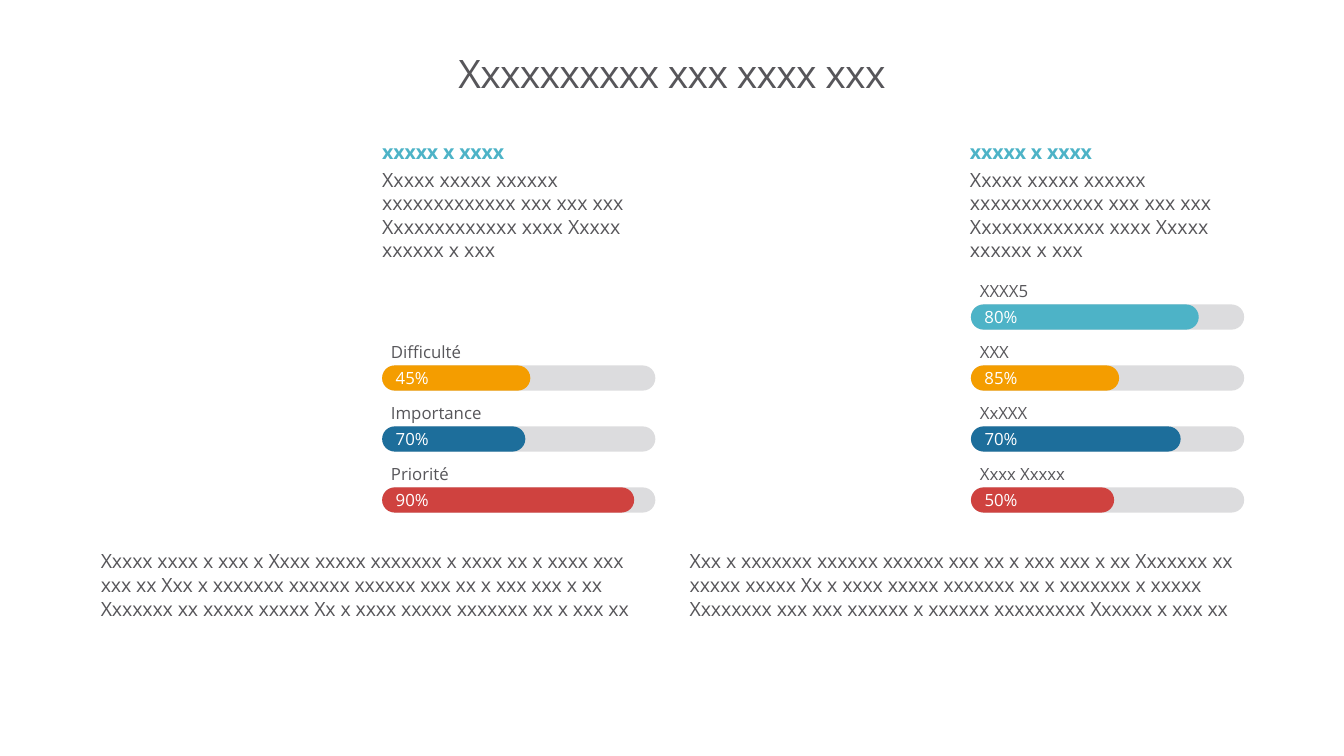
import pptx
import pptx.dml.color
import pptx.enum.shapes
import pptx.enum.text
import pptx.oxml.ns
import pptx.util
from lxml import etree

Inches = pptx.util.Inches
Pt = pptx.util.Pt
RGBColor = pptx.dml.color.RGBColor
MSO_ANCHOR = pptx.enum.text.MSO_ANCHOR
PP_ALIGN = pptx.enum.text.PP_ALIGN
qn = pptx.oxml.ns.qn

GREY = RGBColor(0x57, 0x56, 0x5A)
TRACK = RGBColor(0xBB, 0xBB, 0xBE)
TEAL = RGBColor(0x4D, 0xB3, 0xC7)
ORANGE = RGBColor(0xF4, 0x9D, 0x00)
BLUE = RGBColor(0x1D, 0x6E, 0x9B)
RED = RGBColor(0xCF, 0x42, 0x3F)
WHITE = RGBColor(0xFF, 0xFF, 0xFF)

FONT = "Open Sans"
BAR_WIDTH, BAR_HEIGHT = 2.71, 0.25
FIRST_BAR_TOP, BAR_PITCH = 3.02, 0.605


def fill_placeholder(holder, box, anchor, paragraphs):
    """Place a placeholder and write (text, size, colour, bold, tracking) paragraphs."""
    holder.left, holder.top, holder.width, holder.height = map(Inches, box)
    frame = holder.text_frame
    frame.margin_left = frame.margin_right = frame.margin_top = frame.margin_bottom = 0
    frame.vertical_anchor = anchor
    frame.auto_size = pptx.enum.text.MSO_AUTO_SIZE.NONE
    frame.word_wrap = True
    for level, (text, size, color, bold, tracking) in enumerate(paragraphs):
        paragraph = frame.paragraphs[0] if level == 0 else frame.add_paragraph()
        paragraph.text = text
        paragraph.level = level
        properties = paragraph._p.get_or_add_pPr()
        properties.set("marL", "0")
        properties.set("indent", "0")
        etree.SubElement(properties, qn("a:buNone"))
        paragraph.alignment = PP_ALIGN.LEFT
        paragraph.line_spacing = 1.0
        paragraph.space_before = Pt(2.8 * level)
        style_font(paragraph, size, color, bold)
        paragraph.font._element.set("spc", str(tracking))


def style_font(paragraph, size, color, bold=False):
    paragraph.font.name = FONT
    paragraph.font.size = Pt(size)
    paragraph.font.bold = bold
    paragraph.font.color.rgb = color


presentation = pptx.Presentation()
presentation.slide_width = Inches(13.33)
presentation.slide_height = Inches(7.5)
# The comparison layout holds a title and four body placeholders
slide = presentation.slides.add_slide(presentation.slide_layouts[4])
title, *bodies = slide.placeholders

# Title
fill_placeholder(title, (1, 0.31, 11.33, 0.89), MSO_ANCHOR.MIDDLE,
                 [("Xxxxxxxxxx xxx xxxx xxx", 28, GREY, False, -50)])
title.text_frame.paragraphs[0].alignment = PP_ALIGN.CENTER
title.text_frame.paragraphs[0].line_spacing = 0.86

# Introductions above the bars, then the descriptions below
introduction = [
    ("xxxxx x xxxx", 14, TEAL, True, -10),
    ("Xxxxx xxxxx xxxxxx xxxxxxxxxxxxx xxx xxx xxx Xxxxxxxxxxxxx xxxx Xxxxx xxxxxx x xxx",
     14, GREY, False, 0),
]
left_description = (
    "Xxxxx xxxx x xxx x Xxxx xxxxx xxxxxxx x xxxx xx x xxxx xxx xxx xx Xxx x xxxxxxx "
    "xxxxxx xxxxxx xxx xx x xxx xxx x xx Xxxxxxx xx xxxxx xxxxx Xx x xxxx xxxxx xxxxxxx "
    "xx x xxx xx")
right_description = (
    "Xxx x xxxxxxx xxxxxx xxxxxx xxx xx x xxx xxx x xx Xxxxxxx xx xxxxx xxxxx Xx x xxxx "
    "xxxxx xxxxxxx xx x xxxxxxx x xxxxx Xxxxxxxx xxx xxx xxxxxx x xxxxxx xxxxxxxxx "
    "Xxxxxx x xxx xx")
body_contents = [
    ((3.79, 1.39, 2.71, 3.87), introduction),
    ((9.62, 1.39, 2.71, 3.87), introduction),
    ((1, 5.45, 5.5, 1.05), [(left_description, 14, GREY, False, -10)]),
    ((6.84, 5.45, 5.49, 1.05), [(right_description, 14, GREY, False, -10)]),
]
for body, (box, paragraphs) in zip(bodies, body_contents):
    fill_placeholder(body, box, MSO_ANCHOR.TOP, paragraphs)

# Progress bars: row, label, value, filled length, colour
bar_groups = [
    (3.79, [
        (1, "Difficulté", "45%", 1.47, ORANGE),
        (2, "Importance", "70%", 1.42, BLUE),
        (3, "Priorité", "90%", 2.5, RED),
    ]),
    (9.63, [
        (0, "XXXX5", "80%", 2.26, TEAL),
        (1, "XXX", "85%", 1.47, ORANGE),
        (2, "XxXXX", "70%", 2.08, BLUE),
        (3, "Xxxx Xxxxx", "50%", 1.42, RED),
    ]),
]
for left, bars in bar_groups:
    for row, label, value, length, color in bars:
        top = FIRST_BAR_TOP + row * BAR_PITCH

        # Label above the bar
        label_box = slide.shapes.add_textbox(
            Inches(left - 0.01), Inches(top - 0.27), Inches(1.3), Inches(0.25))
        label_box.text_frame.word_wrap = True
        caption = label_box.text_frame.paragraphs[0]
        caption.text = label
        caption.line_spacing = 0.95
        style_font(caption, 12, GREY)

        # Track with the filled part on top
        for width, fill_color in ((BAR_WIDTH, TRACK), (length, color)):
            bar = slide.shapes.add_shape(
                pptx.enum.shapes.MSO_SHAPE.ROUNDED_RECTANGLE,
                Inches(left), Inches(top), Inches(width), Inches(BAR_HEIGHT))
            bar.adjustments[0] = 0.5
            bar.shadow.inherit = False
            bar.line.fill.background()
            bar.fill.solid()
            bar.fill.fore_color.rgb = fill_color
            if fill_color == TRACK:
                swatch = bar._element.spPr.find(qn("a:solidFill"))[0]
                etree.SubElement(swatch, qn("a:alpha"), val="50000")

        # Value inside the filled part
        frame = bar.text_frame
        frame.word_wrap = False
        frame.vertical_anchor = MSO_ANCHOR.MIDDLE
        frame.margin_left = frame.margin_right = Inches(0.1)
        frame.margin_top = frame.margin_bottom = Inches(0.13)
        percentage = frame.paragraphs[0]
        percentage.text = value
        percentage.alignment = PP_ALIGN.LEFT
        style_font(percentage, 12, WHITE)

presentation.save("out.pptx")
